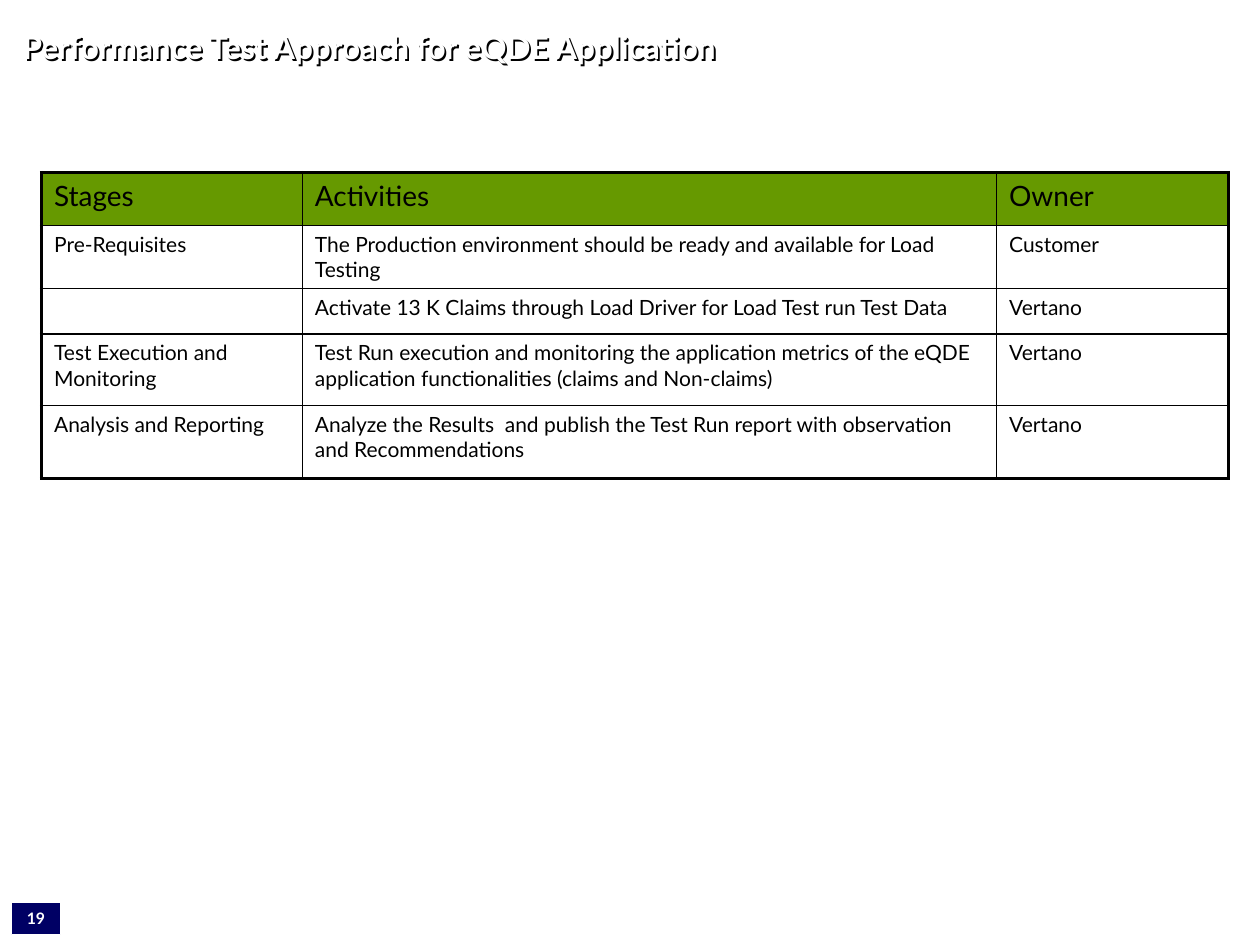
from lxml import etree
from pptx import Presentation
from pptx.dml.color import RGBColor
from pptx.enum.shapes import MSO_SHAPE
from pptx.enum.text import MSO_ANCHOR, MSO_AUTO_SIZE, PP_ALIGN
from pptx.oxml.ns import qn
from pptx.util import Inches, Pt

RECTANGLE = MSO_SHAPE.RECTANGLE
MIDDLE = MSO_ANCHOR.MIDDLE
NO_AUTOFIT = MSO_AUTO_SIZE.NONE
LEFT, CENTER = PP_ALIGN.LEFT, PP_ALIGN.CENTER

TITLE = "Performance Test Approach for eQDE Application"
PAGE_NUMBER = "19"
ROWS = [
    ("Stages", "Activities", "Owner"),
    ("Pre-Requisites",
     "The Production environment should be ready and available for Load Testing",
     "Customer"),
    ("",
     "Activate 13 K Claims through Load Driver for Load Test run Test Data",
     "Vertano"),
    ("Test Execution and Monitoring",
     "Test Run execution and monitoring the application metrics of the eQDE "
     "application functionalities (claims and Non-claims)",
     "Vertano"),
    ("Analysis and Reporting",
     "Analyze the Results  and publish the Test Run report with observation "
     "and Recommendations",
     "Vertano"),
]
COLUMN_WIDTHS = [2.07, 5.51, 1.84]
ROW_HEIGHTS = [0.42, 0.5, 0.36, 0.57, 0.58]
COLORS = {"header": "669900", "badge": "000064", "text": "000000",
          "light": "FFFFFF", "border": "000000"}
FONT = "Lato"
OUTER_BORDER, INNER_BORDER = 2.25, 1


def color(name):
    return RGBColor.from_string(COLORS[name])


def set_font(para, size, color_name, bold=False):
    font = para.font
    font.name, font.size, font.bold = FONT, Pt(size), bold
    font.color.rgb = color(color_name)


def add_shadow(box):
    box.fill.background()
    box.line.fill.background()
    effects = etree.SubElement(box._element.spPr, qn("a:effectLst"))
    shadow = etree.SubElement(effects, qn("a:outerShdw"), dist=str(Pt(1.5)),
                              dir="2700000", algn="tl", rotWithShape="0")
    etree.SubElement(shadow, qn("a:srgbClr"), val=COLORS["text"])


def add_border(cell, side, width):
    line = etree.SubElement(cell._tc.get_or_add_tcPr(), qn(f"a:ln{side}"),
                            w=str(Pt(width)))
    fill = etree.SubElement(line, qn("a:solidFill"))
    etree.SubElement(fill, qn("a:srgbClr"), val=COLORS["border"])


def set_space_before(para, percent):
    spacing = etree.SubElement(para._p.get_or_add_pPr(), qn("a:spcBef"))
    etree.SubElement(spacing, qn("a:spcPct"), val=str(percent * 1000))


def add_title(page):
    box = page.shapes.title
    box.left, box.top = Inches(0.08), Inches(0.08)
    box.width, box.height = Inches(9), Inches(0.58)
    add_shadow(box)
    frame = box.text_frame
    frame.text = TITLE
    frame.auto_size = NO_AUTOFIT
    frame.vertical_anchor = MIDDLE
    para = frame.paragraphs[0]
    para.alignment = LEFT
    para.line_spacing = 1.0
    set_font(para, 18, "light", bold=True)


def add_page_badge(page):
    badge = page.shapes.add_shape(RECTANGLE, Inches(0.09), Inches(7.16),
                                  Inches(0.39), Inches(0.26))
    badge.shadow.inherit = False
    badge.fill.solid()
    badge.fill.fore_color.rgb = color("badge")
    badge.line.color.rgb = color("light")
    badge.line.width = Pt(0.75)
    frame = badge.text_frame
    frame.text = PAGE_NUMBER
    frame.vertical_anchor = MIDDLE
    para = frame.paragraphs[0]
    para.alignment = CENTER
    set_font(para, 9, "light", bold=True)


def add_stage_table(page):
    frame = page.shapes.add_table(
        len(ROWS), len(COLUMN_WIDTHS), Inches(0.33), Inches(1.37),
        Inches(sum(COLUMN_WIDTHS)), Inches(sum(ROW_HEIGHTS)))
    table = frame.table
    table.first_row = table.horz_banding = False
    for column, width in zip(table.columns, COLUMN_WIDTHS):
        column.width = Inches(width)
    for row, height in zip(table.rows, ROW_HEIGHTS):
        row.height = Inches(height)

    last_row, last_column = len(ROWS) - 1, len(COLUMN_WIDTHS) - 1
    for r, texts in enumerate(ROWS):
        for c, text in enumerate(texts):
            cell = table.cell(r, c)
            cell.text = text
            para = cell.text_frame.paragraphs[0]
            set_space_before(para, 20)
            set_font(para, 16 if r == 0 else 12, "text")
            outer_sides = {"L": c == 0, "R": c == last_column,
                           "T": r == 0, "B": r == last_row}
            for side, is_outer in outer_sides.items():
                add_border(cell, side, OUTER_BORDER if is_outer else INNER_BORDER)
            if r == 0:
                cell.fill.solid()
                cell.fill.fore_color.rgb = color("header")
            else:
                cell.fill.background()


def main():
    deck = Presentation()
    deck.slide_width, deck.slide_height = Inches(10), Inches(7.5)
    page = deck.slides.add_slide(deck.slide_layouts[5])
    add_page_badge(page)
    add_stage_table(page)
    add_title(page)
    deck.save("out.pptx")


if __name__ == "__main__":
    main()
